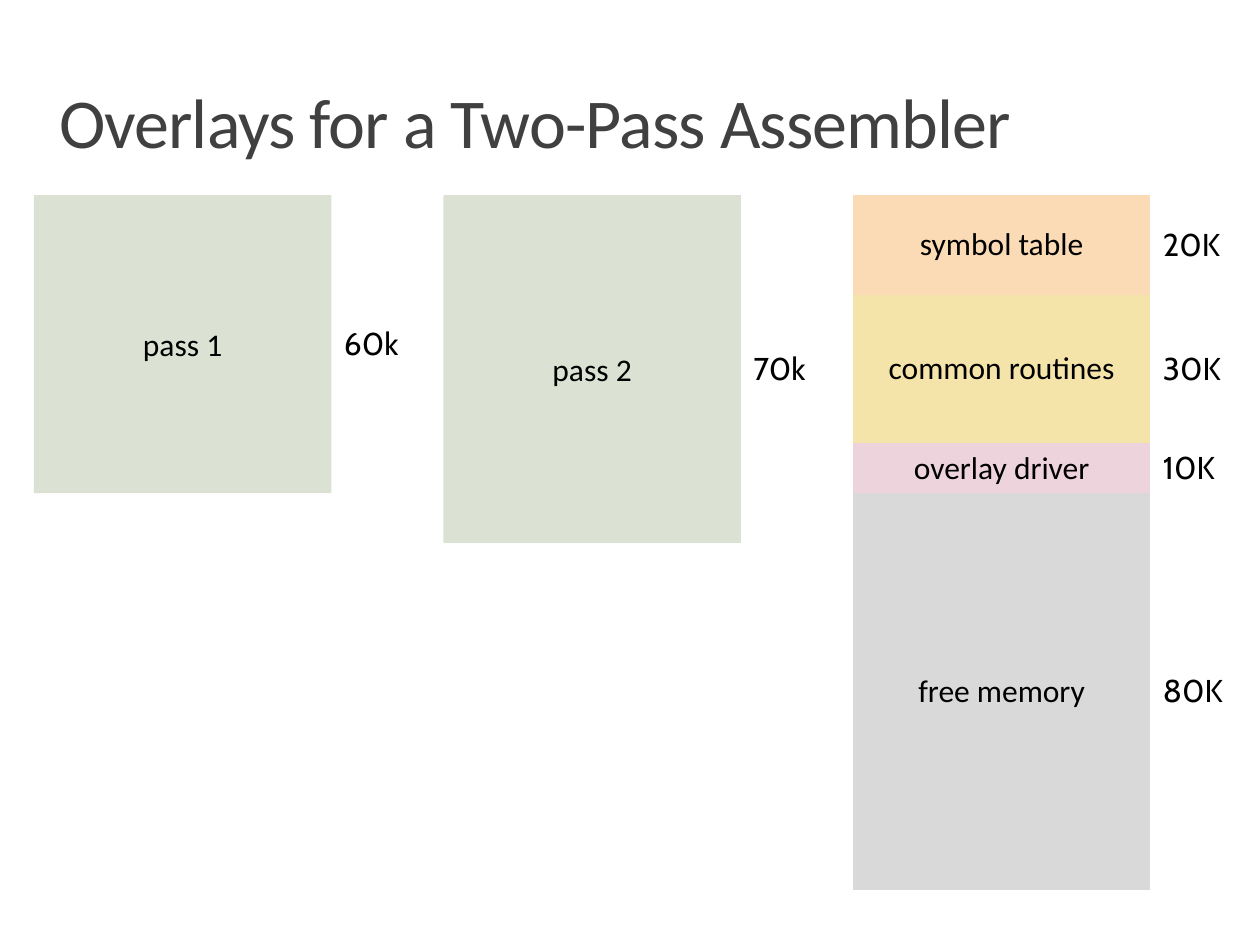
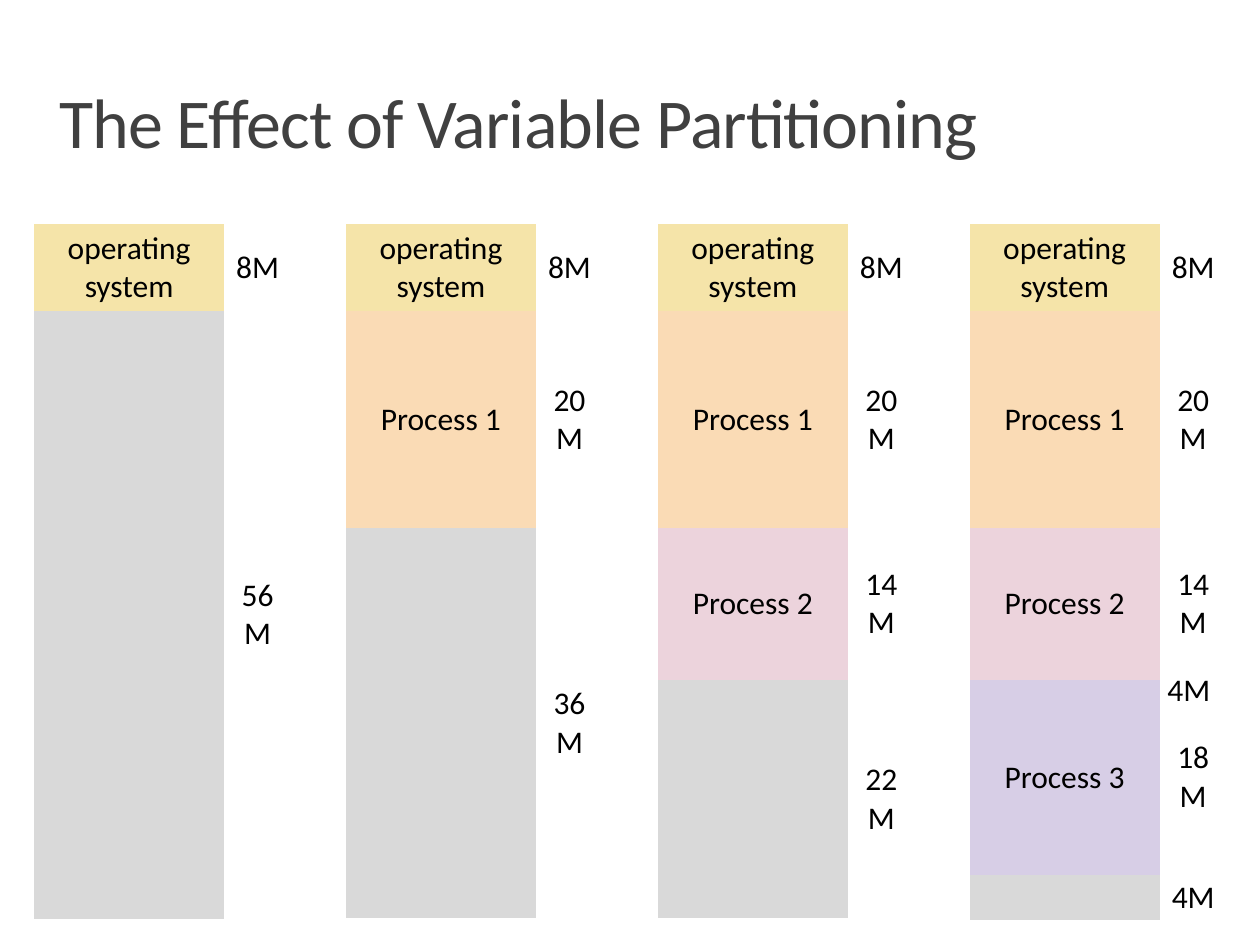
from pptx import Presentation
from pptx.dml.color import RGBColor
from pptx.enum import shapes, text
from pptx.oxml.ns import qn
from pptx.util import Inches, Pt

COLORS = {
    "title": "404040", "text": "000000", "pass": "DBE1D3",
    "orange": "FADBB5", "yellow": "F5E4A9", "pink": "ECD3DC",
    "purple": "D7CEE6", "free": "D9D9D9",
}
BODY_FONT, SIZE_FONT = "Calibri", "Cabin"
NO_STYLE_NO_GRID = "{2D5ABB26-0587-4C30-8999-92F81FD0307C}"
LEFT = 0.27

# Overlays: inches per kilobyte, column widths, distance between columns
OVERLAY_TOP, OVERLAY_SCALE, OVERLAY_STEP = 1.55, 0.0394, 3.25
OVERLAY_WIDTHS = (2.36, 0.59)
PASSES = [("pass 1", 60), ("pass 2", 70)]
MEMORY = [("symbol table", 20, "orange"), ("common routines", 30, "yellow"),
          ("overlay driver", 10, "pink"), ("free memory", 80, "free")]

# Partitions: inches per megabyte, column widths, distance between columns
PARTITION_TOP, PARTITION_SCALE, PARTITION_STEP = 1.78, 0.0861, 2.475
PARTITION_WIDTHS = (1.51, 0.53)
SMALLEST_ROW = 0.36
TOTAL_MEMORY = 64
PARTITIONS = [("operating system", 8, "yellow"), ("Process 1", 20, "orange"),
              ("Process 2", 14, "pink"), ("Process 3", 18, "purple")]


def rgb(name):
    return RGBColor.from_string(COLORS[name])


def write(frame, words, size=18, font=BODY_FONT, color="text",
          align=text.PP_ALIGN.CENTER, line_spacing=None, spacing=None):
    """Put one formatted paragraph in a text frame."""
    paragraph = frame.paragraphs[0]
    paragraph.alignment = align
    if line_spacing:
        paragraph.line_spacing = line_spacing
    run = paragraph.add_run()
    run.text = words
    run.font.size = Pt(size)
    run.font.name = font
    run.font.color.rgb = rgb(color)
    if spacing:
        run.font._element.set("spc", str(int(spacing * 100)))


def set_margins(holder, left=0, top=0, right=0, bottom=0):
    holder.margin_left, holder.margin_top = Inches(left), Inches(top)
    holder.margin_right, holder.margin_bottom = Inches(right), Inches(bottom)


def add_text(slide, box, words, top_margin=0, wrap=True, **style):
    frame = slide.shapes.add_textbox(*map(Inches, box)).text_frame
    frame.word_wrap = wrap
    set_margins(frame, top=top_margin)
    write(frame, words, **style)


def add_titled_slide(presentation, title):
    slide = presentation.slides.add_slide(presentation.slide_layouts[6])
    add_text(slide, (0.47, 0.71, 9.06, 0.89), title, top_margin=0.04, size=40,
             color="title", align=text.PP_ALIGN.LEFT, line_spacing=0.8, spacing=-0.5)
    return slide


def fill_cell(cell, words, margins, fill=None, **style):
    cell.vertical_anchor = text.MSO_ANCHOR.MIDDLE
    set_margins(cell, *margins)
    if fill:
        cell.fill.solid()
        cell.fill.fore_color.rgb = rgb(fill)
    else:
        cell.fill.background()
    if words:
        write(cell.text_frame, words, **style)


def add_memory_column(slide, left, top, widths, blocks, scale, unit,
                      margins, size_margins, size_style):
    """Stack (name, size, color) blocks, with row heights in proportion to size."""
    heights = [max(SMALLEST_ROW, size * scale) for _, size, _ in blocks]
    frame = slide.shapes.add_table(len(blocks), 2, Inches(left), Inches(top),
                                   Inches(sum(widths)), Inches(sum(heights)))
    table = frame.table
    table.first_row = table.horz_banding = False
    for style_id in frame.element.iter(qn("a:tableStyleId")):
        style_id.text = NO_STYLE_NO_GRID
    for column, width in zip(table.columns, widths):
        column.width = Inches(width)
    for index, (name, size, color) in enumerate(blocks):
        table.rows[index].height = Inches(heights[index])
        tight = heights[index] == SMALLEST_ROW
        fill_cell(table.cell(index, 0), name, (0,) * 4 if tight else margins, fill=color)
        fill_cell(table.cell(index, 1), f"{size}{unit}",
                  (0,) * 4 if tight else size_margins, **size_style)


def add_overlay_column(slide, index, blocks, unit):
    add_memory_column(slide, LEFT + index * OVERLAY_STEP, OVERLAY_TOP, OVERLAY_WIDTHS,
                      blocks, OVERLAY_SCALE, unit, (0,) * 4, (0.1, 0, 0, 0),
                      {"font": SIZE_FONT, "align": text.PP_ALIGN.LEFT})


def add_pass_block(slide, index, name, size):
    box = (LEFT + index * OVERLAY_STEP, OVERLAY_TOP, OVERLAY_WIDTHS[0],
           size * OVERLAY_SCALE)
    shape = slide.shapes.add_shape(shapes.MSO_SHAPE.RECTANGLE, *map(Inches, box))
    shape.shadow.inherit = False
    shape.fill.solid()
    shape.fill.fore_color.rgb = rgb("pass")
    shape.line.fill.background()
    shape.text_frame.vertical_anchor = text.MSO_ANCHOR.MIDDLE
    write(shape.text_frame, name)


def build_overlays(presentation):
    slide = add_titled_slide(presentation, "Overlays for a Two-Pass Assembler")
    add_overlay_column(slide, len(PASSES), MEMORY, "K")
    for index, (name, size) in reversed(list(enumerate(PASSES))):
        add_overlay_column(slide, index, [(name, size, "pass")], "k")
    for index, (name, size) in enumerate(PASSES):
        add_pass_block(slide, index, name, size)


def build_partitions(presentation):
    slide = add_titled_slide(presentation, "The Effect of Variable Partitioning")
    margins = (0.04,) * 4
    for index in range(len(PARTITIONS)):
        used = PARTITIONS[:index + 1]
        free = TOTAL_MEMORY - sum(size for _, size, _ in used)
        add_memory_column(slide, LEFT + index * PARTITION_STEP, PARTITION_TOP,
                          PARTITION_WIDTHS, used + [("", free, "free")],
                          PARTITION_SCALE, "M", margins, margins, {})
    add_text(slide, (9.17, 5.32, 0.53, 0.3), "4M", wrap=False)


def main():
    presentation = Presentation()
    presentation.slide_width, presentation.slide_height = Inches(10), Inches(7.5)
    build_overlays(presentation)
    build_partitions(presentation)
    presentation.save("out.pptx")


if __name__ == "__main__":
    main()
